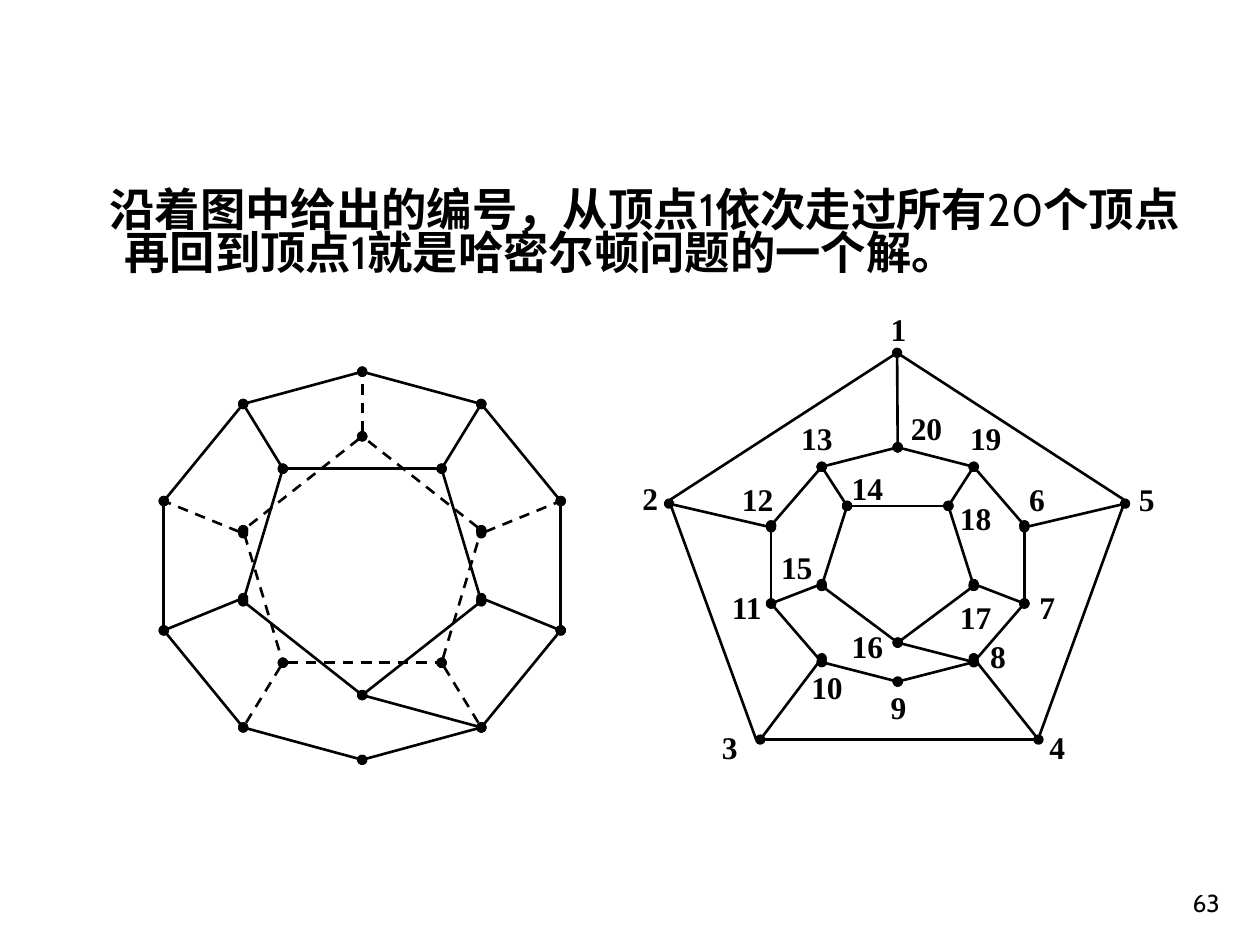
"""Build the slide on the twenty-vertex Hamilton tour."""
from dataclasses import dataclass
from lxml.etree import SubElement
from pptx import Presentation
from pptx.dml.color import RGBColor
from pptx.enum.dml import MSO_LINE_DASH_STYLE as Dash
from pptx.enum.shapes import MSO_CONNECTOR as Connector, MSO_SHAPE as Preset
from pptx.enum.text import MSO_ANCHOR as Anchor, PP_ALIGN as Align
from pptx.oxml.ns import qn
from pptx.util import Inches, Pt


@dataclass(frozen=True)
class Theme:
    """Hold the colours, fonts and sizes of the slide."""
    ink: RGBColor = RGBColor(0, 0, 0)
    sans: str = "Cabin"
    serif: str = "Times New Roman"
    body: float = 25.9
    label: float = 18
    number: float = 14
    stroke: float = 1.5


THEME = Theme()

STATEMENT = ["沿着图中给出的编号，从顶点", "1", "依次走过所有", "20",
             "个顶点再回到顶点", "1", "就是哈密尔顿问题的一个解。"]

COLUMNS, ROWS = 10, 12
RING = [(5, 0), (2, 1), (0, 4), (0, 8), (2, 11),
        (5, 12), (8, 11), (10, 8), (10, 4), (8, 1)]
BACK = [(5, 2), (2, 4.9), (3, 9), (7, 9), (8, 4.9)]
FRONT = [(5, 10), (8, 7.1), (7, 3), (3, 3), (2, 7.1)]
GATES = [(5, 0), (0, 4.1), (2, 10.8), (8, 10.8), (10, 4.1)]
CORNERS = [(0.5, 0), (0, 0.39), (0.2, 1), (0.81, 1), (1, 0.39)]
LABELS = [(1.97, 0), (0, 1.34), (0.63, 3.32), (3.23, 3.32), (3.94, 1.35),
          (3.07, 1.35), (3.15, 2.21), (2.76, 2.6), (1.97, 3), (1.34, 2.84),
          (0.71, 2.21), (0.79, 1.35), (1.26, 0.87), (1.66, 1.26), (1.1, 1.89),
          (1.66, 2.52), (2.52, 2.29), (2.52, 1.5), (2.6, 0.87), (2.13, 0.79)]


def apply_format(target, values):
    """Set every attribute named in a dict of format values."""
    for name, value in values.items():
        setattr(target, name, value)


def add_text(shapes, box, spans, frame_format, font_format, bold):
    """Add a one-paragraph text box and return its paragraph."""
    frame = shapes.add_textbox(*map(Inches, box)).text_frame
    apply_format(frame, frame_format)
    para = frame.paragraphs[0]
    for index, text in enumerate(spans):
        span = para.add_run()
        span.text = text
        apply_format(span.font, {**font_format, "bold": bold and index % 2 == 0})
        span.font.color.rgb = THEME.ink
    return para


def add_edge(shapes, start, end, dashed=False):
    """Draw an edge with a round vertex at each end."""
    edge = shapes.add_connector(Connector.STRAIGHT, *map(Inches, (*start, *end)))
    edge.line.color.rgb = THEME.ink
    edge.line.width = Pt(THEME.stroke)
    if dashed:
        edge.line.dash_style = Dash.DASH
    properties = edge.element.spPr
    outline = properties.find(qn("a:ln"))
    for tag in ("a:headEnd", "a:tailEnd"):
        SubElement(outline, qn(tag), type="oval")
    SubElement(properties, qn("a:effectLst"))


def scale(points, box, columns=1, rows=1):
    """Turn grid points into slide positions inside a box."""
    left, top, width, height = box
    return [(left + x * width / columns, top + y * height / rows) for x, y in points]


def add_cycle(shapes, points, dashed=False):
    """Join the points in a closed ring of edges."""
    for start, end in zip(points, points[1:] + points[:1]):
        add_edge(shapes, start, end, dashed)


def add_spokes(shapes, starts, ends, dashed=False):
    """Join the points of two lists pair by pair."""
    for start, end in zip(starts, ends):
        add_edge(shapes, start, end, dashed)


def add_face(shapes, box, face, first, dashed=False):
    """Draw a pentagon and its spokes to every second ring vertex."""
    ring = RING[first:] + RING[:first]
    snapped = [(x, round(y)) for x, y in face]
    ends = ring[::2] if first == 0 else ring[::-2][-1:] + ring[2::2]
    add_cycle(shapes, scale(face, box, COLUMNS, ROWS), dashed)
    add_spokes(shapes, scale(snapped, box, COLUMNS, ROWS),
               scale(ends, box, COLUMNS, ROWS), dashed)


def add_ring(shapes, box):
    """Draw the ten-sided ring with the front face inside."""
    add_cycle(shapes, scale(RING, box, COLUMNS, ROWS))
    add_face(shapes, box, FRONT, 5)


def add_solid(page, box):
    """Draw the dodecahedron with its hidden edges dashed."""
    shapes = page.shapes.add_group_shape().shapes
    add_face(shapes, box, BACK, 0, dashed=True)
    add_ring(shapes, box)


def add_tour(page, box):
    """Draw the flattened dodecahedron with numbered vertices."""
    left, top, width, height = box
    shapes = page.shapes.add_group_shape().shapes
    outer = (left + 0.31, top + 0.39, width - 0.64, height - 0.65)
    inner = (left + 1.12, top + 1.14, 2.01, 1.86)
    pentagon = shapes.add_shape(Preset.REGULAR_PENTAGON, *map(Inches, outer))
    pentagon.shadow.inherit = False
    pentagon.fill.background()
    pentagon.line.color.rgb = THEME.ink
    pentagon.line.width = Pt(THEME.stroke)
    add_ring(shapes, inner)
    add_spokes(shapes, scale(CORNERS, outer), scale(GATES, inner, COLUMNS, ROWS))
    for number, (x, y) in enumerate(LABELS, start=1):
        label_width = 0.32 if number < 10 else 0.45
        add_text(shapes, (left + x, top + y, label_width, 0.4), [str(number)],
                 {"word_wrap": False},
                 {"name": THEME.serif, "size": Pt(THEME.label)}, True)


def add_statement(page, box):
    """Write the statement with its numbers in regular weight."""
    para = add_text(page.shapes, box, STATEMENT, {"word_wrap": True},
                    {"name": THEME.sans, "size": Pt(THEME.body)}, True)
    para.line_spacing = 0.8
    indents = {"marL": Inches(0.38), "indent": Inches(-0.12)}
    for name, value in indents.items():
        para._p.get_or_add_pPr().set(name, str(value))


def add_page_number(page, box):
    """Write the page number at the lower right."""
    para = add_text(page.shapes, box, ["63"],
                    {"word_wrap": True, "vertical_anchor": Anchor.BOTTOM},
                    {"name": THEME.sans, "size": Pt(THEME.number)}, False)
    para.alignment = Align.RIGHT


def main():
    """Build the slide and save the deck."""
    deck = Presentation()
    apply_format(deck, {"slide_width": Inches(10), "slide_height": Inches(7.5)})
    page = deck.slides.add_slide(deck.slide_layouts[6])
    add_statement(page, (0.51, 1.47, 9, 0.94))
    add_solid(page, (1.3, 2.95, 3.15, 3.08))
    add_tour(page, (5, 2.41, 4.26, 3.72))
    add_page_number(page, (7.7, 6.83, 2.08, 0.5))
    deck.save("out.pptx")


if __name__ == "__main__":
    main()
